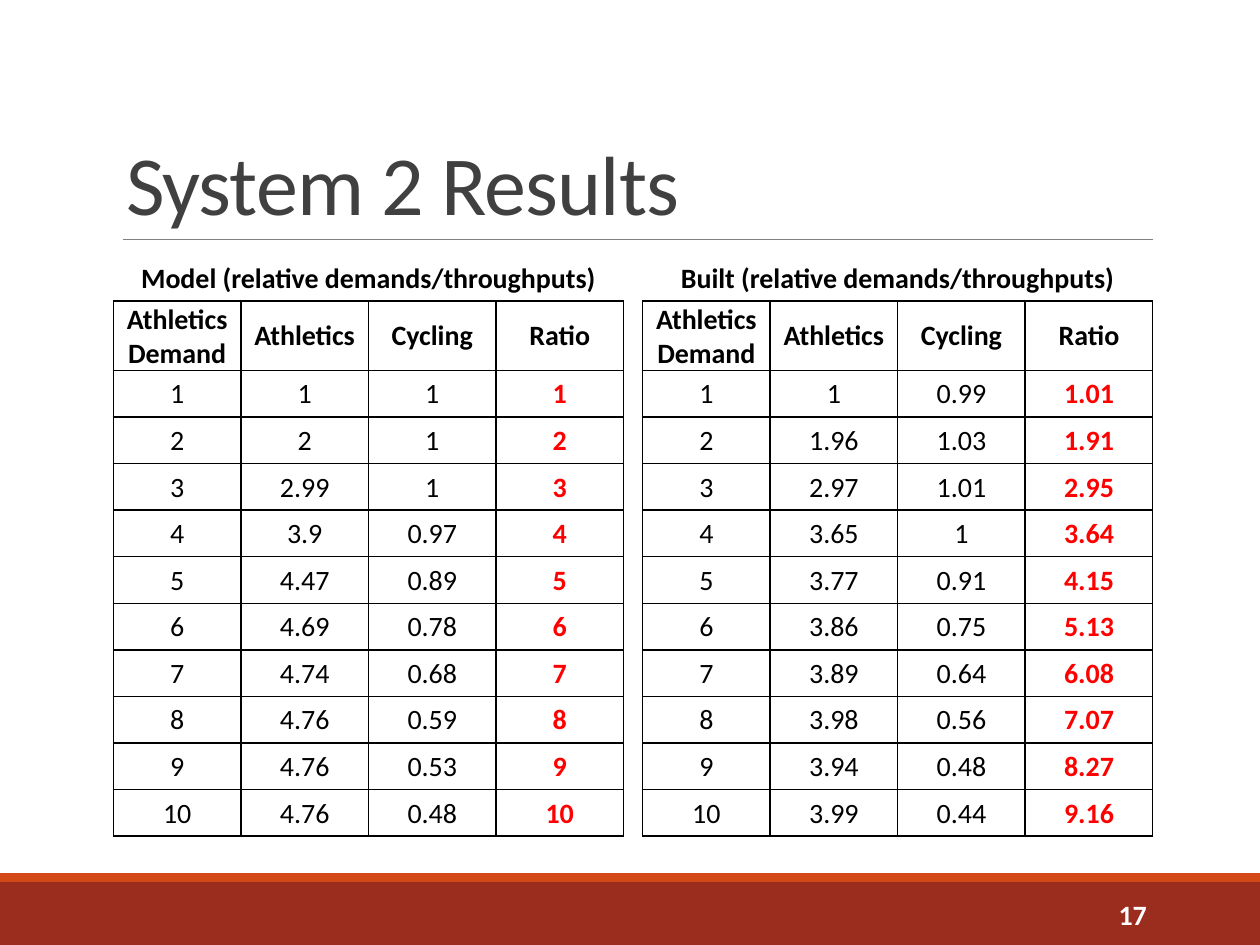
from lxml.etree import SubElement
from pptx import Presentation
from pptx.dml.color import RGBColor
from pptx.enum.shapes import MSO_CONNECTOR as Connector, MSO_SHAPE as Shape
from pptx.enum.text import MSO_ANCHOR as Anchor, MSO_AUTO_SIZE as AutoSize, PP_ALIGN as Align
from pptx.oxml.ns import qn
from pptx.util import Inches, Pt

BLACK = RGBColor(0x00, 0x00, 0x00)
WHITE = RGBColor(0xFF, 0xFF, 0xFF)
RED = RGBColor(0xFF, 0x00, 0x00)
CHARCOAL = RGBColor(0x40, 0x40, 0x40)
GRAY = RGBColor(0x80, 0x80, 0x80)
BRICK = RGBColor(0x9B, 0x2D, 0x1F)
ORANGE = RGBColor(0xD3, 0x48, 0x17)

HEADINGS = ["Athletics Demand", "Athletics", "Cycling", "Ratio"]
MODEL_RESULTS = [
    (1, 1, 1, 1),
    (2, 2, 1, 2),
    (3, 2.99, 1, 3),
    (4, 3.9, 0.97, 4),
    (5, 4.47, 0.89, 5),
    (6, 4.69, 0.78, 6),
    (7, 4.74, 0.68, 7),
    (8, 4.76, 0.59, 8),
    (9, 4.76, 0.53, 9),
    (10, 4.76, 0.48, 10),
]
BUILT_RESULTS = [
    (1, 1, 0.99, 1.01),
    (2, 1.96, 1.03, 1.91),
    (3, 2.97, 1.01, 2.95),
    (4, 3.65, 1, 3.64),
    (5, 3.77, 0.91, 4.15),
    (6, 3.86, 0.75, 5.13),
    (7, 3.89, 0.64, 6.08),
    (8, 3.98, 0.56, 7.07),
    (9, 3.94, 0.48, 8.27),
    (10, 3.99, 0.44, 9.16),
]


class ResultsSlide:
    font_name = "Calibri"
    body_size = 16
    title_size = 48

    def __init__(self, slide):
        self.slide = slide

    def style(self, paragraph, size, color, bold=False, align=Align.LEFT):
        paragraph.alignment = align
        for run in paragraph.runs:
            run.font.name = self.font_name
            run.font.size = Pt(size)
            run.font.bold = bold
            run.font.color.rgb = color

    def band(self, top, height, color):
        strip = self.slide.shapes.add_shape(
            Shape.RECTANGLE, 0, Inches(top), Inches(10), Inches(height))
        strip.shadow.inherit = False
        strip.fill.solid()
        strip.fill.fore_color.rgb = color
        strip.line.fill.background()

    def rule(self, left, right, top):
        divider = self.slide.shapes.add_connector(
            Connector.STRAIGHT, Inches(left), Inches(top), Inches(right), Inches(top))
        divider.line.color.rgb = GRAY
        divider.line.width = Pt(0.5)
        SubElement(divider._element.spPr, qn("a:effectLst"))

    def title(self, text):
        heading = self.slide.shapes.title
        heading.left, heading.top = Inches(0.9), Inches(0.31)
        heading.width, heading.height = Inches(8.25), Inches(1.59)
        frame = heading.text_frame
        frame.text = text
        frame.auto_size = AutoSize.NONE
        frame.vertical_anchor = Anchor.BOTTOM
        paragraph = frame.paragraphs[0]
        paragraph.line_spacing = 0.85
        self.style(paragraph, self.title_size, CHARCOAL)
        paragraph.runs[0]._r.get_or_add_rPr().set("spc", "-50")

    def page_number(self, text):
        number = self.slide.shapes.add_textbox(
            Inches(8.12), Inches(7.06), Inches(1.08), Inches(0.4))
        frame = number.text_frame
        frame.word_wrap = True
        frame.vertical_anchor = Anchor.MIDDLE
        frame.text = text
        self.style(frame.paragraphs[0], self.body_size, WHITE, True, Align.RIGHT)

    def borders(self, cell, sides):
        properties = cell._tc.get_or_add_tcPr()
        for side in sides:
            edge = SubElement(properties, qn(f"a:ln{side}"), w=str(Pt(1)))
            paint = SubElement(edge, qn("a:solidFill"))
            SubElement(paint, qn("a:srgbClr"), val=str(BLACK))

    def cell(self, cell, text, color=BLACK, bold=False, sides="LRTB"):
        self.borders(cell, sides)
        cell.fill.background()
        cell.margin_left = cell.margin_right = cell.margin_top = Inches(0.01)
        cell.margin_bottom = 0
        cell.vertical_anchor = Anchor.MIDDLE
        cell.text = text
        self.style(cell.text_frame.paragraphs[0], self.body_size, color, bold, Align.CENTER)

    def results_table(self, left, caption, results):
        row_count, column_count = len(results) + 2, len(HEADINGS)
        table = self.slide.shapes.add_table(
            row_count, column_count, Inches(left), Inches(2.02),
            Inches(4.05), Inches(4.64)).table
        table.first_row = table.horz_banding = False
        for column in table.columns:
            column.width = Inches(4.05 / column_count)
        for index, row in enumerate(table.rows):
            row.height = Inches(0.55 if index == 1 else 0.37)

        table.cell(0, 0).merge(table.cell(0, column_count - 1))
        for column in range(column_count):
            self.cell(table.cell(0, column), "" if column else caption, bold=True, sides="B")
            self.cell(table.cell(1, column), HEADINGS[column], bold=True)
        for row, values in enumerate(results, start=2):
            for column, value in enumerate(values):
                is_ratio = HEADINGS[column] == "Ratio"
                self.cell(table.cell(row, column), str(value),
                          RED if is_ratio else BLACK, is_ratio)


def main():
    presentation = Presentation()
    presentation.slide_width, presentation.slide_height = Inches(10), Inches(7.5)
    page = ResultsSlide(presentation.slides.add_slide(presentation.slide_layouts[5]))
    page.band(7, 0.5, BRICK)
    page.band(6.93, 0.07, ORANGE)
    page.rule(0.98, 9.15, 1.9)
    page.title("System 2 Results")
    page.page_number("17")
    page.results_table(0.9, "Model (relative demands/throughputs)", MODEL_RESULTS)
    page.results_table(5.1, "Built (relative demands/throughputs)", BUILT_RESULTS)
    presentation.save("out.pptx")


if __name__ == "__main__":
    main()
